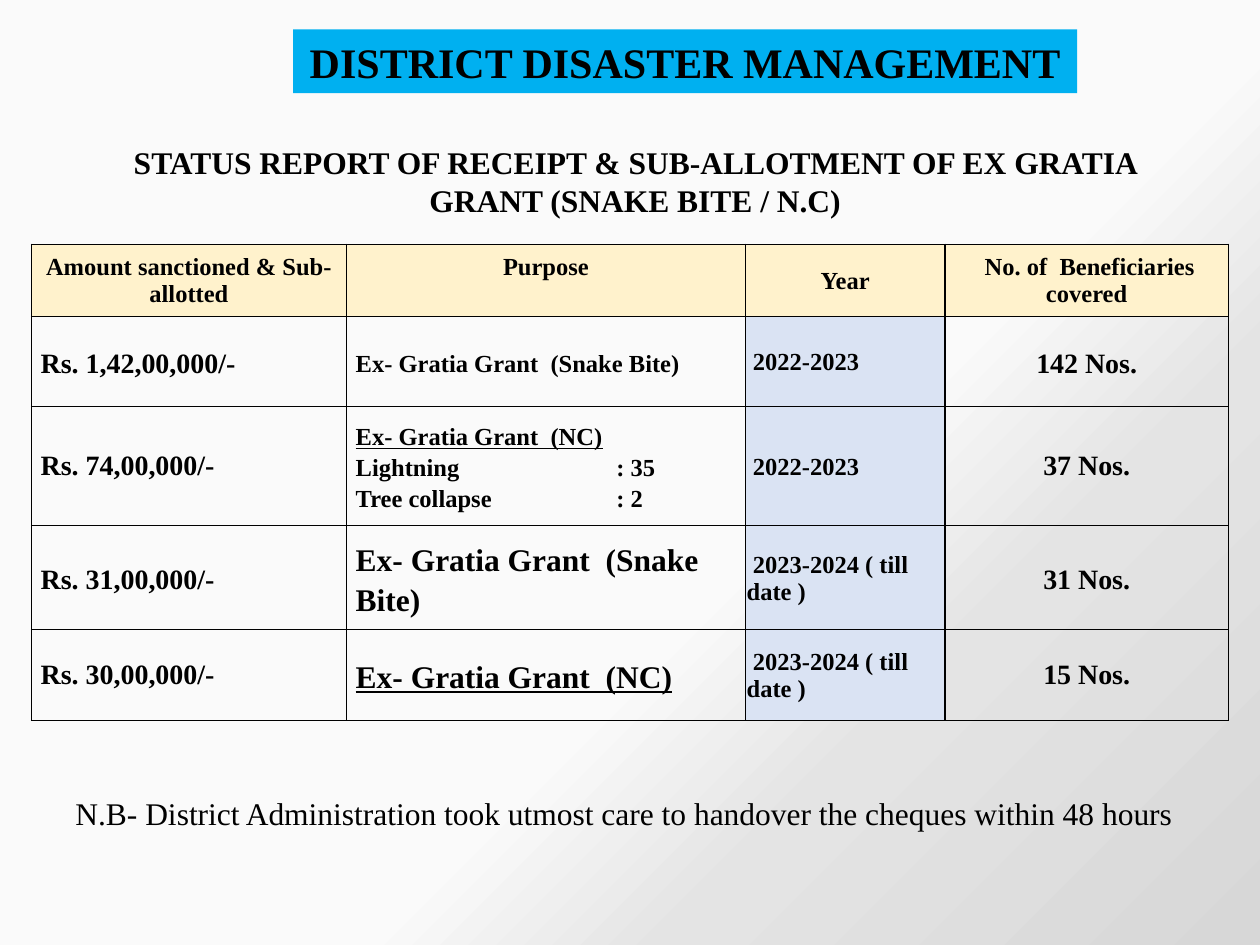
from lxml import etree
from pptx import Presentation
from pptx.dml.color import RGBColor
from pptx.enum.text import MSO_ANCHOR, MSO_AUTO_SIZE, PP_ALIGN
from pptx.oxml.ns import qn
from pptx.util import Pt

LEFT, CENTER = PP_ALIGN.LEFT, PP_ALIGN.CENTER
TOP, MIDDLE = MSO_ANCHOR.TOP, MSO_ANCHOR.MIDDLE
NO_FIT = MSO_AUTO_SIZE.NONE

# Content
TITLE = "DISTRICT DISASTER MANAGEMENT"
SUBTITLE = "STATUS REPORT OF RECEIPT & SUB-ALLOTMENT OF EX GRATIA GRANT (SNAKE BITE / N.C)"
NOTE = "N.B- District Administration took utmost care to handover the cheques within 48 hours"
HEADERS = ["Amount sanctioned & Sub-allotted", "Purpose", "Year",
           " No. of  Beneficiaries covered"]
SNAKE_BITE = "Ex- Gratia Grant  (Snake Bite)"
NC = "Ex- Gratia Grant  (NC)"
NC_DETAILS = NC + "\nLightning\t: 35\nTree collapse\t: 2"
TILL_DATE = " 2023-2024 ( till date )"
# amount, purpose, year, beneficiaries, purpose size, figure line spacing
GRANTS = [
    ("Rs. 1,42,00,000/-", SNAKE_BITE, " 2022-2023", "142 Nos.", "small", 1.15),
    ("Rs. 74,00,000/-", NC_DETAILS, " 2022-2023", "37 Nos.", "small", 1),
    ("Rs. 31,00,000/-", SNAKE_BITE, TILL_DATE, "31 Nos.", "large", 1.15),
    ("Rs. 30,00,000/-", NC, TILL_DATE, "15 Nos.", "large", 1),
]

THEME = {
    "font": "Times New Roman",
    "text": "000000", "banner": "00B0F0", "header": "FFF2CC", "year": "DAE3F3",
    "background": [(59, "FAFAFA"), (73, "E4E4E4"), (100, "D7D7D7")],
    "title": 24, "large": 18, "figure": 16, "small": 14, "border": 0.75,
}

# Layout in points: left, top, width, height
TITLE_BOX = (167.5, 16.8, 448, 36.4)
SUBTITLE_BOX = (42, 78, 642, 51)
NOTE_BOX = (36, 450, 654, 29)
TABLE_BOX = (18, 139.5, 684, 273)
COLUMN_WIDTHS = [180, 228, 114, 162]
ROW_HEIGHTS = [41.5, 51.5, 68, 59.5, 52]
HEADER_MARGINS = (0.7, 0.7, 0.7, 0)
BODY_MARGINS = (5.3, 0, 5.3, 0)
DETAIL_TAB = 149


def rgb(name):
    return RGBColor.from_string(THEME[name])


def write(frame, text, size, bold=True, align=CENTER, spacing=None):
    frame.text = text
    frame.word_wrap = True
    for paragraph in frame.paragraphs:
        paragraph.alignment = align
        if spacing:
            paragraph.line_spacing = spacing
        for run in paragraph.runs:
            font = run.font
            font.name, font.size, font.bold = THEME["font"], Pt(THEME[size]), bold
            font.color.rgb = rgb("text")


def add_text(slide, box, text, **style):
    frame = slide.shapes.add_textbox(*map(Pt, box)).text_frame
    write(frame, text, "large", **style)


def set_background(slide):
    fill = slide.background.fill
    fill.gradient()
    fill.gradient_angle = 315
    stops = slide.element.find(".//" + qn("a:gsLst"))
    stops.clear()
    for position, color in THEME["background"]:
        stop = etree.SubElement(stops, qn("a:gs"), pos=str(position * 1000))
        etree.SubElement(stop, qn("a:srgbClr"), val=color)


def add_borders(cell):
    properties = cell._tc.get_or_add_tcPr()
    for side in ("lnL", "lnR", "lnT", "lnB"):
        line = etree.SubElement(properties, qn("a:" + side), w=str(Pt(THEME["border"])))
        fill = etree.SubElement(line, qn("a:solidFill"))
        etree.SubElement(fill, qn("a:srgbClr"), val=THEME["text"])


def fill_cell(cell, text, size, margins, fill=None, anchor=MIDDLE, **style):
    add_borders(cell)
    if fill:
        cell.fill.solid()
        cell.fill.fore_color.rgb = rgb(fill)
    else:
        cell.fill.background()
    cell.margin_left, cell.margin_top, cell.margin_right, cell.margin_bottom = map(Pt, margins)
    cell.vertical_anchor = anchor
    write(cell.text_frame, text, size, **style)


def add_detail_tab(paragraph):
    tabs = etree.SubElement(paragraph._p.get_or_add_pPr(), qn("a:tabLst"))
    etree.SubElement(tabs, qn("a:tab"), pos=str(Pt(DETAIL_TAB)), algn="l")


def add_grant_table(slide):
    table = slide.shapes.add_table(len(ROW_HEIGHTS), len(COLUMN_WIDTHS),
                                   *map(Pt, TABLE_BOX)).table
    for column, width in zip(table.columns, COLUMN_WIDTHS):
        column.width = Pt(width)
    for row, height in zip(table.rows, ROW_HEIGHTS):
        row.height = Pt(height)

    # Header row; the purpose heading sits level with the first lines
    for column, header in enumerate(HEADERS):
        is_purpose = header == "Purpose"
        margins = (0.7, 5.2, 0.7, 0) if is_purpose else HEADER_MARGINS
        fill_cell(table.cell(0, column), header, "small", margins, "header",
                  TOP if is_purpose else MIDDLE)

    # Grant rows
    for row, (amount, purpose, year, count, size, spacing) in enumerate(GRANTS, 1):
        amount_cell, purpose_cell, year_cell, count_cell = table.rows[row].cells
        fill_cell(amount_cell, amount, "figure", BODY_MARGINS, align=LEFT, spacing=spacing)
        fill_cell(purpose_cell, purpose, size, BODY_MARGINS, align=LEFT, spacing=1.15)
        fill_cell(year_cell, year, "small", HEADER_MARGINS, "year", align=LEFT)
        fill_cell(count_cell, count, "figure", BODY_MARGINS, spacing=spacing)
        heading, *details = purpose_cell.text_frame.paragraphs
        if purpose.startswith(NC):
            heading.runs[0].font.underline = True
        for detail in details:
            add_detail_tab(detail)


def main():
    deck = Presentation()
    deck.slide_width, deck.slide_height = Pt(720), Pt(540)
    slide = deck.slides.add_slide(deck.slide_layouts[5])
    set_background(slide)

    # Title banner
    title = slide.shapes.title
    title.left, title.top, title.width, title.height = map(Pt, TITLE_BOX)
    title.fill.solid()
    title.fill.fore_color.rgb = rgb("banner")
    write(title.text_frame, TITLE, "title")
    title.text_frame.word_wrap = False
    title.text_frame.auto_size = NO_FIT

    add_grant_table(slide)
    add_text(slide, NOTE_BOX, NOTE, bold=False, align=LEFT)
    add_text(slide, SUBTITLE_BOX, SUBTITLE)
    deck.save("out.pptx")


if __name__ == "__main__":
    main()
